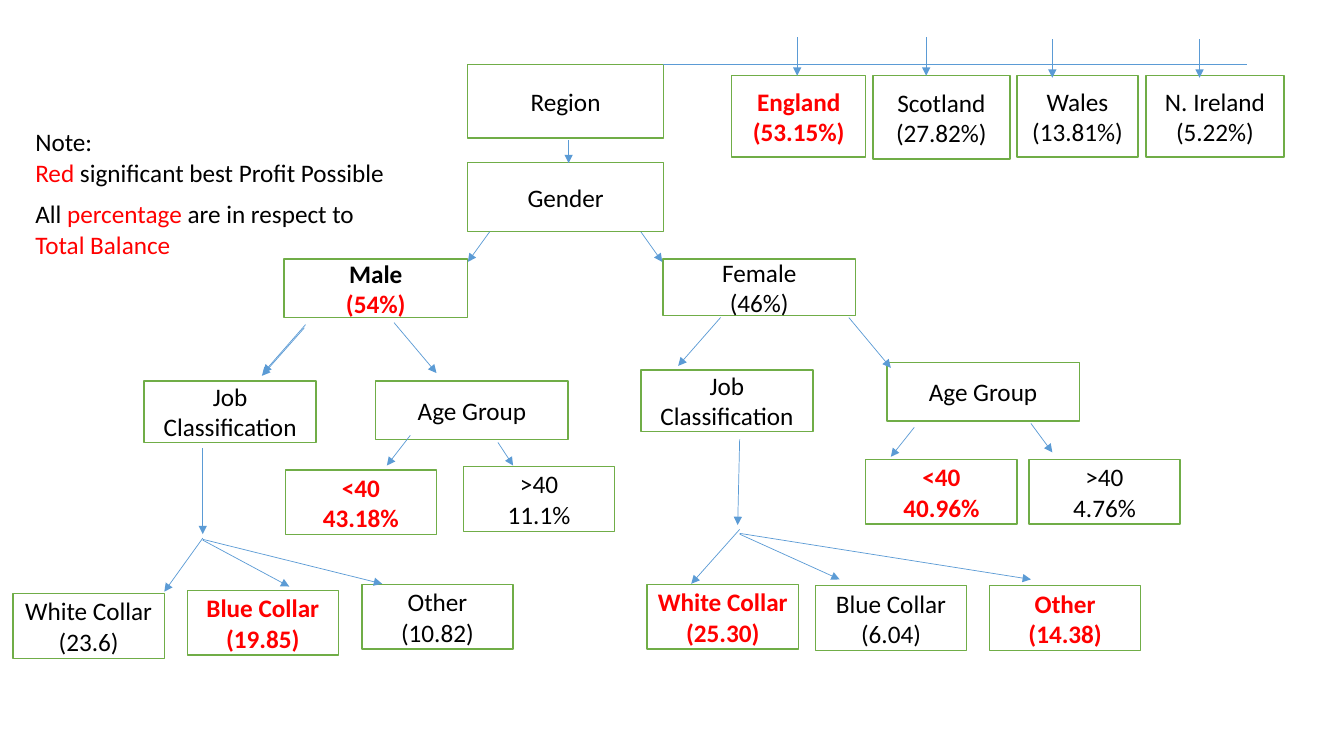
from dataclasses import dataclass

from lxml.etree import SubElement
from pptx import Presentation
from pptx.dml.color import RGBColor
from pptx.enum.shapes import MSO_CONNECTOR, MSO_SHAPE
from pptx.enum.text import MSO_ANCHOR, PP_ALIGN
from pptx.oxml.ns import qn
from pptx.util import Cm, Pt


@dataclass(frozen=True)
class Theme:
    font: str = "Calibri"
    text_size: float = 18
    box_line: float = 1
    arrow_line: float = 0.5
    text: RGBColor = RGBColor(0x00, 0x00, 0x00)
    best: RGBColor = RGBColor(0xFF, 0x00, 0x00)
    paper: RGBColor = RGBColor(0xFF, 0xFF, 0xFF)
    border: RGBColor = RGBColor(0x70, 0xAD, 0x47)
    arrow: RGBColor = RGBColor(0x5B, 0x9B, 0xD5)


THEME = Theme()

# Run styles: (colour, bold)
PLAIN = (THEME.text, False)
STRONG = (THEME.text, True)
RED = (THEME.best, False)
BEST = (THEME.best, True)

# Box sizes in cm: (width, height)
ROOT, GENDER = (4.93, 1.85), (4.93, 1.75)
MALE, FEMALE = (4.62, 1.47), (4.85, 1.42)
JOB, AGE, LEAF = (4.34, 1.55), (4.85, 1.47), (3.81, 1.63)

# (left, top, size, lines, style of each line)
BOXES = [
    (11.79, 1.63, ROOT, ["Region"], [PLAIN]),
    (11.79, 4.09, GENDER, ["Gender"], [PLAIN]),
    (7.16, 6.53, MALE, ["Male", "(54%)"], [STRONG, BEST]),
    (16.71, 6.53, FEMALE, ["Female", "(46%)"], [PLAIN] * 2),
    (3.63, 9.6, JOB, ["Job Classification"], [PLAIN]),
    (9.47, 9.6, AGE, ["Age Group"], [PLAIN]),
    (16.15, 9.32, JOB, ["Job Classification"], [PLAIN]),
    (22.35, 9.14, AGE, ["Age Group"], [PLAIN]),
    (7.19, 11.84, LEAF, ["<40", "43.18%"], [BEST] * 2),
    (11.68, 11.76, LEAF, [">40", "11.1%"], [PLAIN] * 2),
    (21.82, 11.58, LEAF, ["<40", "40.96%"], [BEST] * 2),
    (25.93, 11.58, LEAF, [">40", "4.76%"], [PLAIN] * 2),
    (0.33, 14.96, LEAF, ["White Collar", "(23.6)"], [PLAIN] * 2),
    (4.72, 14.88, LEAF, ["Blue Collar", "(19.85)"], [BEST] * 2),
    (9.12, 14.73, LEAF, ["Other", "(10.82)"], [PLAIN] * 2),
    (16.31, 14.73, LEAF, ["White Collar", "(25.30)"], [BEST] * 2),
    (20.55, 14.76, LEAF, ["Blue Collar", "(6.04)"], [PLAIN] * 2),
    (24.94, 14.76, LEAF, ["Other", "(14.38)"], [BEST] * 2),
    (18.44, 1.9, (3.38, 2.06), ["England", "(53.15%)"], [BEST] * 2),
    (22, 1.9, (3.45, 2.11), ["Scotland", "(27.82%)"], [PLAIN] * 2),
    (25.63, 1.9, (3.05, 2.06), ["Wales", "(13.81%)"], [PLAIN] * 2),
    (28.88, 1.9, (3.48, 2.06), ["N. Ireland", "(5.22%)"], [PLAIN] * 2),
]

# (from x, from y, to x, to y)
REGION_BAR = (16.71, 1.63, 31.42, 1.63)
REGION_DROPS = [(20.09, 0.94), (23.34, 0.94), (26.52, 0.99), (30.23, 0.99)]
DROP_LENGTH = 0.97
ARROWS = [
    (14.33, 3.53, 14.33, 4.11),
    (12.34, 5.84, 11.79, 6.6),
    (16.15, 5.84, 16.69, 6.6),
    (7.67, 8.26, 6.6, 9.47),
    (7.7, 8.18, 6.63, 9.4),
    (9.93, 8.13, 11, 9.4),
    (18.16, 8, 17.09, 9.22),
    (21.39, 8, 22.45, 9.27),
    (10.34, 10.97, 9.75, 11.73),
    (12.55, 11.15, 12.93, 11.73),
    (23.04, 10.77, 22.45, 11.51),
    (25.98, 10.67, 26.52, 11.4),
    (5.11, 11.3, 5.11, 13.46),
    (5.11, 13.56, 4.14, 14.91),
    (5.11, 13.61, 7.29, 14.78),
    (5.11, 13.59, 9.63, 14.71),
    (18.64, 11.07, 18.59, 13.23),
    (18.64, 13.34, 17.42, 14.71),
    (18.64, 13.46, 21.16, 14.6),
    (18.64, 13.44, 25.98, 14.6),
] + [(x, y, x, y + DROP_LENGTH) for x, y in REGION_DROPS]

# (left, top, width, height, paragraphs of runs)
NOTES = [
    (0.64, 3.07, 10.26, 1.8, [
        [("Note:", PLAIN)],
        [("Red", RED), (" significant best Profit Possible", PLAIN)],
    ]),
    (0.64, 4.88, 8.84, 1.8, [
        [("All ", PLAIN), ("percentage", RED),
         (" are in respect to ", PLAIN), ("Total Balance", RED)],
    ]),
]

FRAME_FORMAT = {"word_wrap": True}
BOX_FRAME_FORMAT = {
    "vertical_anchor": MSO_ANCHOR.MIDDLE,
    "margin_left": Cm(0.15),
    "margin_right": Cm(0.15),
}


def apply_format(target, values):
    for name, value in values.items():
        setattr(target, name, value)


def write_text(shape, paragraphs, alignment):
    """Fill a shape with paragraphs, each a list of (text, style) runs."""
    frame = shape.text_frame
    apply_format(frame, FRAME_FORMAT)
    for index, runs in enumerate(paragraphs):
        paragraph = frame.add_paragraph() if index else frame.paragraphs[0]
        paragraph.alignment = alignment
        for text, (color, bold) in runs:
            run = paragraph.add_run()
            run.text = text
            apply_format(run.font, {
                "name": THEME.font, "size": Pt(THEME.text_size), "bold": bold})
            run.font.color.rgb = color


def add_box(slide, left, top, size, lines, styles):
    shape = slide.shapes.add_shape(
        MSO_SHAPE.RECTANGLE, *map(Cm, (left, top, *size)))
    shape.shadow.inherit = False
    shape.fill.solid()
    shape.fill.fore_color.rgb = THEME.paper
    shape.line.color.rgb = THEME.border
    shape.line.width = Pt(THEME.box_line)
    apply_format(shape.text_frame, BOX_FRAME_FORMAT)
    write_text(shape, [[run] for run in zip(lines, styles)], PP_ALIGN.CENTER)


def add_line(slide, ends, arrowhead=True):
    connector = slide.shapes.add_connector(
        MSO_CONNECTOR.STRAIGHT, *map(Cm, ends))
    connector.line.color.rgb = THEME.arrow
    connector.line.width = Pt(THEME.arrow_line)
    if arrowhead:
        outline = connector.line._get_or_add_ln()
        SubElement(outline, qn("a:tailEnd"), type="triangle")
    SubElement(connector._element.spPr, qn("a:effectLst"))


def main():
    presentation = Presentation()
    presentation.slide_width = Cm(33.87)
    presentation.slide_height = Cm(19.05)
    blank_layout = presentation.slide_layouts[6]
    slide = presentation.slides.add_slide(blank_layout)

    for box in BOXES:
        add_box(slide, *box)
    add_line(slide, REGION_BAR, arrowhead=False)
    for arrow in ARROWS:
        add_line(slide, arrow)
    for *area, paragraphs in NOTES:
        note = slide.shapes.add_textbox(*map(Cm, area))
        write_text(note, paragraphs, PP_ALIGN.LEFT)

    presentation.save("out.pptx")


if __name__ == "__main__":
    main()
